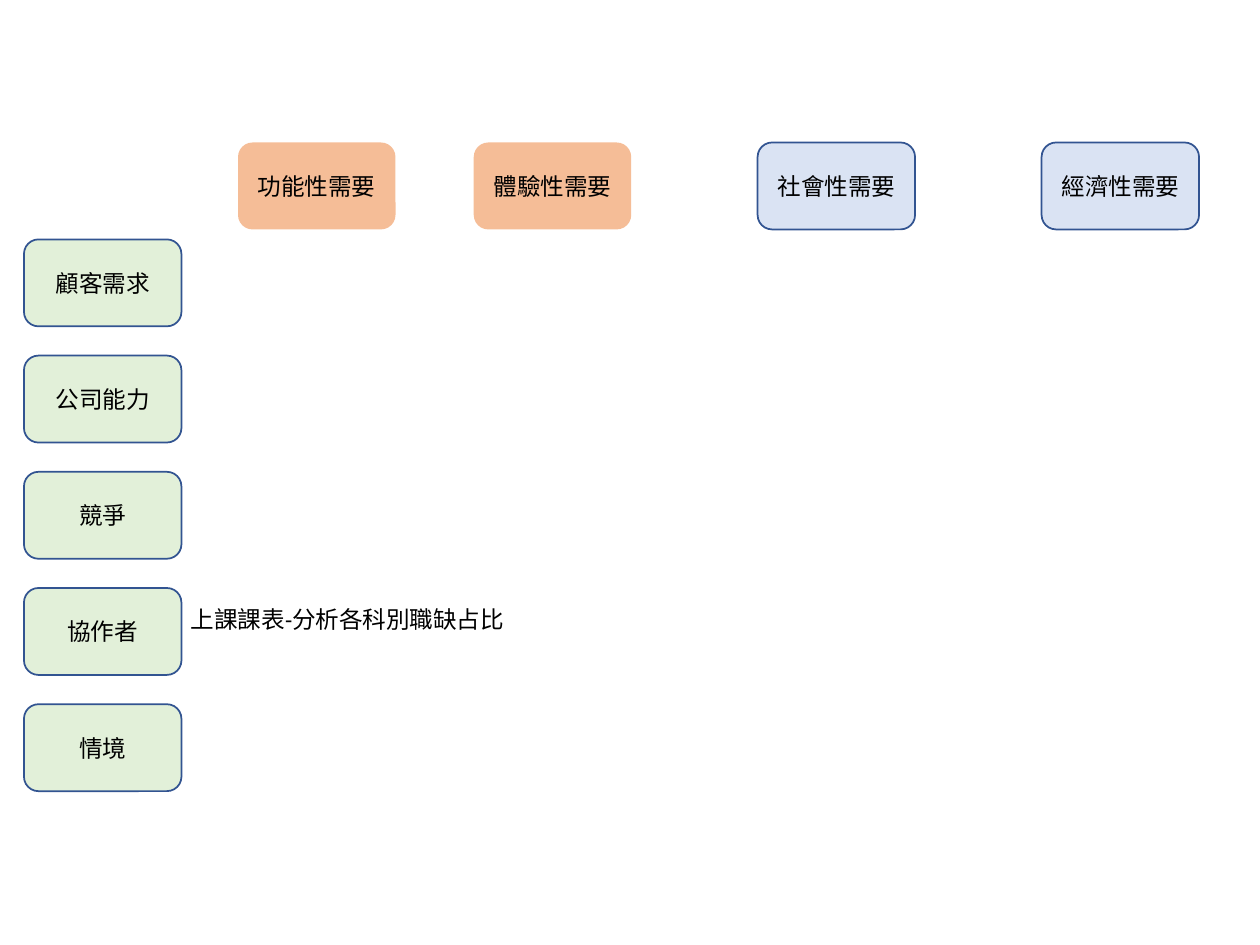
"""Builds a slide setting customer needs against the factors of the market."""
from dataclasses import dataclass

from lxml import etree
from pptx import Presentation
from pptx.dml.color import RGBColor
from pptx.enum import shapes, text
from pptx.oxml import ns
from pptx.util import Pt


@dataclass(frozen=True)
class Theme:
    font: str = "Calibri"
    size: float = 13.5
    ink: str = "000000"
    border: str = "325491"
    focus: str = "ED7D31"
    need: str = "DAE3F3"
    factor: str = "E2F0D9"


theme = Theme()
BOX_WIDTH, BOX_HEIGHT = 90, 49.7
NEED_TOP = 81.4
FACTOR_LEFT, FACTOR_TOP, FACTOR_STEP = 13.7, 136.8, 66.4


def write(shape, words, alignment):
    frame = shape.text_frame
    frame.text = words
    frame.word_wrap = True
    frame.margin_left = frame.margin_right = Pt(5.4)
    frame.margin_top = frame.margin_bottom = Pt(2.7)
    paragraph = frame.paragraphs[0]
    paragraph.alignment = alignment
    font = paragraph.runs[0].font
    font.name, font.size = theme.font, Pt(theme.size)
    font.color.rgb = RGBColor.from_string(theme.ink)


def add_box(left, top, words, color):
    box = slide.shapes.add_shape(
        shapes.MSO_SHAPE.ROUNDED_RECTANGLE,
        Pt(left), Pt(top), Pt(BOX_WIDTH), Pt(BOX_HEIGHT))
    box.shadow.inherit = False
    box.fill.solid()
    box.fill.fore_color.rgb = RGBColor.from_string(color)
    if color == theme.focus:
        box.line.fill.background()
        fill_color = box.fill._xPr.find(ns.qn("a:solidFill"))[0]
        etree.SubElement(fill_color, ns.qn("a:alpha"), val="50000")
    else:
        box.line.color.rgb = RGBColor.from_string(theme.border)
        box.line.width = Pt(1)
    box.text_frame.vertical_anchor = text.MSO_ANCHOR.MIDDLE
    write(box, words, text.PP_ALIGN.CENTER)


presentation = Presentation()
presentation.slide_width, presentation.slide_height = Pt(720), Pt(540)
slide = presentation.slides.add_slide(presentation.slide_layouts[6])

needs = [
    (136, "功能性需要", theme.focus),
    (270.7, "體驗性需要", theme.focus),
    (432.9, "社會性需要", theme.need),
    (595.2, "經濟性需要", theme.need),
]
for left, words, color in needs:
    add_box(left, NEED_TOP, words, color)

factors = ["顧客需求", "公司能力", "競爭", "協作者", "情境"]
for row, words in enumerate(factors):
    add_box(FACTOR_LEFT, FACTOR_TOP + row * FACTOR_STEP, words, theme.factor)

note = slide.shapes.add_textbox(
    Pt(FACTOR_LEFT + BOX_WIDTH), Pt(342.7), Pt(195.8), Pt(23.8))
write(note, "上課課表-分析各科別職缺占比", text.PP_ALIGN.LEFT)
note.text_frame.auto_size = text.MSO_AUTO_SIZE.SHAPE_TO_FIT_TEXT

presentation.save("out.pptx")
